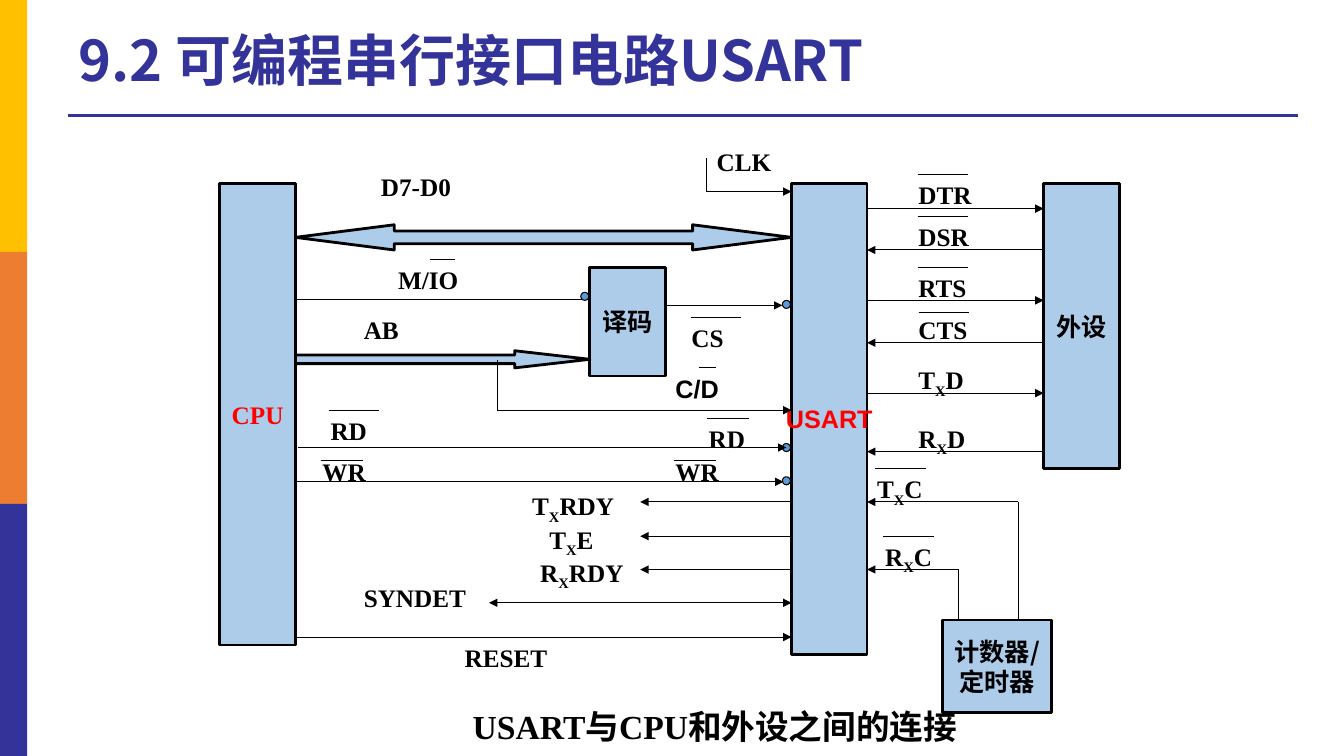
"""Build the slide on wiring the USART between the CPU and a peripheral."""
import pptx
import pptx.util
import pptx.dml.color
import pptx.enum.shapes
import pptx.enum.text
import pptx.oxml.ns
import lxml.etree

Inches = pptx.util.Inches
Pt = pptx.util.Pt
qn = pptx.oxml.ns.qn
Shape = pptx.enum.shapes.MSO_SHAPE
Sub = lxml.etree.SubElement

hues = {"navy": "333399", "gold": "FFC000", "rust": "ED7D31",
        "blue": "5B9BD5", "black": "000000", "red": "FF0000"}
roman, arial, hei = "Times New Roman", "Arial", "Noto Sans CJK SC"

deck = pptx.Presentation()
deck.slide_width, deck.slide_height = Inches(13.33), Inches(7.5)
slide = deck.slides.add_slide(deck.slide_layouts[6])
shapes = slide.shapes


def wire(x1, y1, x2, y2, ends="", hue="black", width=0.75):
    """Draw a line; ends may name headEnd and tailEnd."""
    line = shapes.add_connector(pptx.enum.shapes.MSO_CONNECTOR.STRAIGHT,
                                Inches(x1), Inches(y1), Inches(x2), Inches(y2))
    line.line.color.rgb = pptx.dml.color.RGBColor.from_string(hues[hue])
    line.line.width = Pt(width)
    for end in ends.split():
        Sub(line.line._get_or_add_ln(), qn("a:" + end), type="triangle")
    Sub(line._element.spPr, qn("a:effectLst"))


def write(shape, text, font=roman, size=18, hue="black", align=None):
    """Fill a shape with bold text; parts between underscores go low."""
    frame = shape.text_frame
    for num, row in enumerate(text.split("\n")):
        par = frame.add_paragraph() if num else frame.paragraphs[0]
        for spot, part in enumerate(row.split("_")):
            run = par.add_run()
            run.text = part
            if spot % 2:
                run._r.get_or_add_rPr().set("baseline", "-25000")
        par.alignment = align
        par.font.size, par.font.bold, par.font.name = Pt(size), True, font
        par.font.color.rgb = pptx.dml.color.RGBColor.from_string(hues[hue])
        Sub(par._p.pPr.find(qn("a:defRPr")), qn("a:ea"), typeface=hei)


wire(0.67, 1.15, 12.87, 1.15, hue="navy", width=2.25)

blocks = [
    (Shape.RECTANGLE, 2.18, 1.82, 0.75, 4.58, "CPU", roman, "red"),
    (Shape.RECTANGLE, 7.85, 1.82, 0.75, 4.67, "USART", arial, "red"),
    (Shape.RECTANGLE, 10.35, 1.82, 0.75, 2.83, "外设", hei, "black"),
    (Shape.RECTANGLE, 5.85, 2.65, 0.75, 1.08, "译码", hei, "black"),
    (Shape.RECTANGLE, 9.35, 6.15, 1.08, 0.92, "计数器/\n定时器", hei, "black"),
    (Shape.LEFT_RIGHT_ARROW, 2.93, 2.23, 4.92, 0.25, "", 3.92, ""),
    (Shape.RIGHT_ARROW, 2.93, 3.48, 2.92, 0.17, "", 4.38, ""),
]
dots = [(Shape.OVAL, x, y, 0.08, 0.08, "", "", "")
        for x, y in [(7.76, 4.73), (5.76, 2.9), (7.76, 4.4), (7.76, 2.98)]]
bars = [(Shape.RECTANGLE, 0, 2.5 * num, 0.27, 2.5, "", "", hue)
        for num, hue in enumerate(["gold", "rust", "navy"])]

for kind, x, y, w, h, text, style, hue in bars + blocks + dots:
    part = shapes.add_shape(kind, Inches(x), Inches(y), Inches(w), Inches(h))
    part.shadow.inherit = False
    part.fill.solid()
    side = hue in ("gold", "rust", "navy")
    part.fill.fore_color.rgb = pptx.dml.color.RGBColor.from_string(
        hues[hue if side else "blue"])
    if side:
        part.line.fill.background()
        continue
    part.line.color.rgb = pptx.dml.color.RGBColor.from_string(hues["black"])
    part.line.width = Pt(0.75 if kind == Shape.OVAL else 2)
    if kind != Shape.OVAL:
        Sub(part._element.spPr.find(qn("a:solidFill"))[0], qn("a:alpha"), val="50000")
    if kind in (Shape.LEFT_RIGHT_ARROW, Shape.RIGHT_ARROW):
        part.adjustments[0], part.adjustments[1] = 0.5, style
    if text:
        part.text_frame.word_wrap = False
        part.text_frame.vertical_anchor = pptx.enum.text.MSO_ANCHOR.MIDDLE
        write(part, text, style, hue=hue, align=pptx.enum.text.PP_ALIGN.CENTER)

plain = [(7.01, 1.57, 7.01, 1.9), (5.78, 2.97, 2.95, 2.97), (4.93, 3.57, 4.93, 4.07),
         (9.51, 6.15, 9.51, 5.65), (10.1, 6.15, 10.1, 4.98)]
tips = [(7.01, 1.9, 7.85, 1.9), (6.6, 3.03, 7.76, 3.03), (4.93, 4.07, 7.85, 4.07),
        (2.96, 4.44, 7.8, 4.44), (2.94, 4.78, 7.77, 4.78), (2.93, 6.32, 7.85, 6.32),
        (9.51, 5.65, 8.6, 5.65), (10.1, 4.98, 8.6, 4.98)]
tips += [(7.85, y, 6.35, y) for y in (4.98, 5.32, 5.65)]
tips += [(8.6, y, 10.35, y) for y in (2.07, 2.98, 3.9)]
tips += [(10.35, y, 8.6, y) for y in (2.48, 3.4, 4.48)]
for ends in plain:
    wire(*ends)
for ends in tips:
    wire(*ends, "tailEnd")
wire(7.85, 5.98, 4.85, 5.98, "headEnd tailEnd")

overs = [(6.85, 3.15, 0.5), (4.26, 2.57, 0.25), (6.93, 3.65, 0.17), (3.26, 4.07, 0.5),
         (7.01, 4.07, 0.5), (7.01, 4.15, 0.42), (3.18, 4.57, 0.42), (6.68, 4.57, 0.42),
         (9.1, 1.73, 0.5), (9.1, 2.15, 0.5), (9.1, 2.65, 0.5), (9.11, 3.1, 0.5),
         (8.68, 4.65, 0.5), (8.76, 5.32, 0.5)]
for x, y, w in overs:
    wire(x, y, x + w, y)

labels = [
    ("D7-D0", 3.68, 1.65, 1.17), ("CLK", 7.01, 1.4, 0.92), ("CS", 6.76, 3.15, 0.67),
    ("AB", 3.51, 3.07, 0.92), ("M/IO", 3.85, 2.57, 0.92), ("C/D", 6.6, 3.65, 0.92),
    ("RD", 3.18, 4.07, 0.67), ("RD", 6.93, 4.15, 0.67),
    ("WR", 3.1, 4.48, 1), ("WR", 6.6, 4.48, 1),
    ("T_X_RDY", 5.18, 4.82, 1.33), ("T_X_E", 5.35, 5.15, 1.33),
    ("R_X_RDY", 5.26, 5.48, 1.33), ("SYNDET", 3.51, 5.73, 1.25),
    ("RESET", 4.51, 6.32, 1.25), ("DTR", 9.01, 1.73, 0.92), ("DSR", 9.01, 2.15, 0.92),
    ("RTS", 9.01, 2.65, 0.92), ("CTS", 9.01, 3.07, 0.92), ("T_X_D", 9.01, 3.57, 0.92),
    ("R_X_D", 9.01, 4.15, 0.92), ("R_X_C", 8.68, 5.32, 0.92), ("T_X_C", 8.6, 4.65, 0.92),
]
for text, x, y, w in labels:
    box = shapes.add_textbox(Inches(x), Inches(y), Inches(w), Inches(0.4))
    box.text_frame.word_wrap = True
    write(box, text, arial if text == "C/D" else roman)

note = shapes.add_textbox(Inches(4.59), Inches(6.95), Inches(7.4), Inches(0.5))
note.text_frame.word_wrap = True
write(note, "USART与CPU和外设之间的连接", size=24)

title = shapes.add_textbox(Inches(0.68), Inches(0.28), Inches(9.91), Inches(0.87))
title.text_frame.word_wrap = True
write(title, "9.2 可编程串行接口电路USART", hei, 40, "navy")
title.text_frame.paragraphs[0].line_spacing = 0.9

deck.save("out.pptx")
